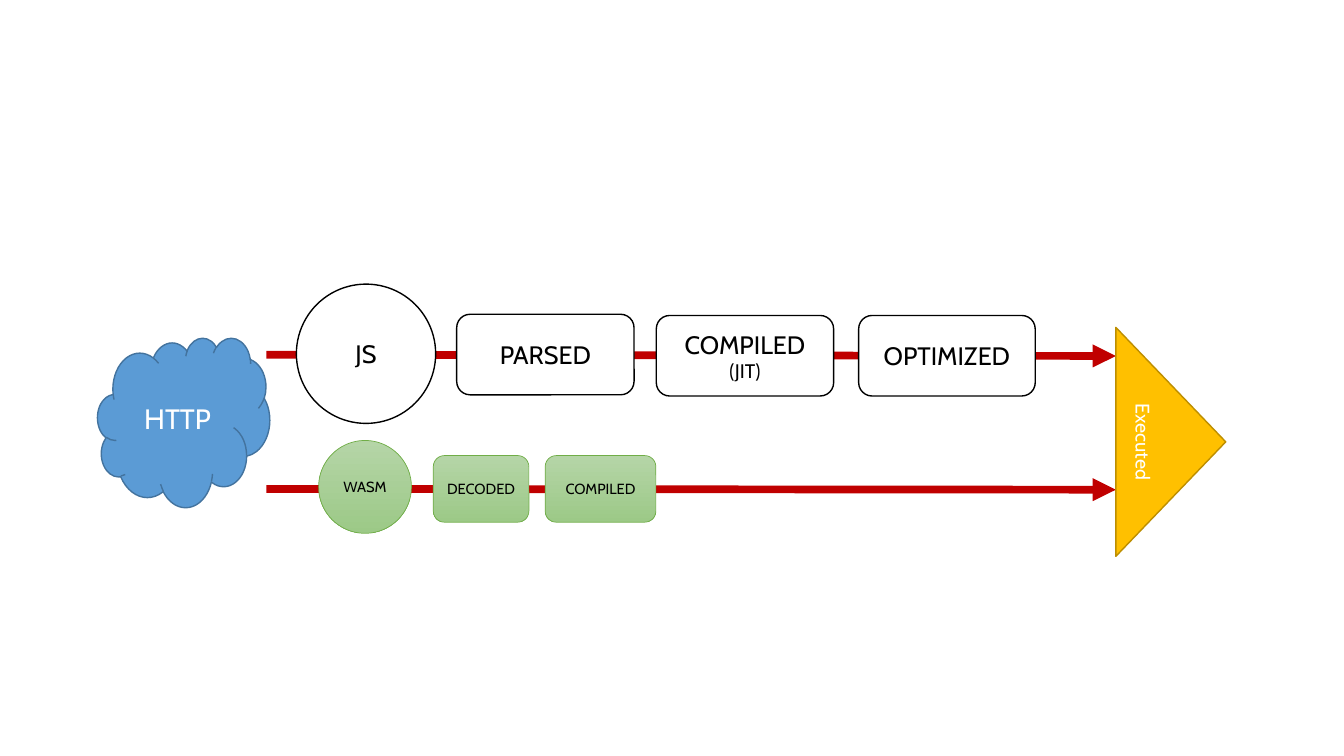
from dataclasses import dataclass

from lxml.etree import SubElement
from pptx import Presentation
from pptx.dml.color import RGBColor
from pptx.enum.shapes import MSO_CONNECTOR as Connector, MSO_SHAPE as Preset
from pptx.enum.text import MSO_ANCHOR as Anchor, PP_ALIGN as Align
from pptx.oxml.ns import qn
from pptx.slide import Slide
from pptx.util import Cm, Pt

BLACK = RGBColor(0x00, 0x00, 0x00)
WHITE = RGBColor(0xFF, 0xFF, 0xFF)
RED = RGBColor(0xC0, 0x00, 0x00)
BLUE = RGBColor(0x5B, 0x9B, 0xD5)
DARK_BLUE = RGBColor(0x43, 0x73, 0x9E)
AMBER = RGBColor(0xFF, 0xC0, 0x00)
DARK_AMBER = RGBColor(0xBD, 0x8E, 0x00)
GREEN = RGBColor(0x70, 0xAD, 0x47)
LIGHT_GREEN = RGBColor(0xB5, 0xD5, 0xA7)
MID_GREEN = RGBColor(0x9C, 0xC9, 0x87)

FONT_NAME = "Cabin"
ARROW_LEFT, ARROW_RIGHT = 6.71, 28.12


@dataclass(frozen=True)
class Style:
    fills: tuple[RGBColor, ...]  # two colours make a top-to-bottom gradient
    outline: RGBColor
    outline_points: float
    text_color: RGBColor


@dataclass(frozen=True)
class Step:
    preset: Preset
    style: Style
    left: float
    top: float
    width: float
    height: float
    lines: tuple[tuple[str, float], ...]  # text and size of each line
    rotation: float = 0


SOURCE = Style((BLUE,), DARK_BLUE, 1, WHITE)
JS_STAGE = Style((WHITE,), BLACK, 1, BLACK)
WASM_STAGE = Style((LIGHT_GREEN, MID_GREEN), GREEN, 0.5, BLACK)
RESULT = Style((AMBER,), DARK_AMBER, 1, WHITE)

ARROW_HEIGHTS = [(12.32, 12.34), (8.94, 8.97)]

BOX = Preset.ROUNDED_RECTANGLE
STEPS = [
    Step(Preset.CLOUD, SOURCE, 2.46, 8.51, 4.34, 4.27, (("HTTP", 20),)),
    Step(Preset.OVAL, JS_STAGE, 7.47, 7.16, 3.51, 3.51, (("JS", 18),)),
    Step(BOX, JS_STAGE, 11.51, 7.92, 4.47, 2.03, (("PARSED", 18),)),
    Step(BOX, JS_STAGE, 16.54, 7.95, 4.47, 2.03, (("COMPILED", 18), ("(JIT)", 14))),
    Step(BOX, JS_STAGE, 21.64, 7.95, 4.45, 2.03, (("OPTIMIZED", 18),)),
    Step(Preset.OVAL, WASM_STAGE, 8.03, 11.1, 2.34, 2.34, (("WASM", 10.5),)),
    Step(BOX, WASM_STAGE, 10.92, 11.48, 2.41, 1.68, (("DECODED", 10.5),)),
    Step(BOX, WASM_STAGE, 13.74, 11.48, 2.79, 1.68, (("COMPILED", 10.5),)),
    Step(Preset.ISOSCELES_TRIANGLE, RESULT, 26.62, 9.75, 5.77, 2.77,
         (("Executed", 14),), rotation=90),
]


def add_arrow(slide: Slide, start_top: float, end_top: float) -> None:
    arrow = slide.shapes.add_connector(
        Connector.STRAIGHT,
        Cm(ARROW_LEFT), Cm(start_top), Cm(ARROW_RIGHT), Cm(end_top),
    )
    arrow.line.color.rgb = RED
    arrow.line.width = Pt(5.5)
    SubElement(arrow.line._get_or_add_ln(), qn("a:tailEnd"), type="triangle")
    SubElement(arrow._element.spPr, qn("a:effectLst"))


def add_step(slide: Slide, step: Step) -> None:
    shape = slide.shapes.add_shape(
        step.preset, Cm(step.left), Cm(step.top), Cm(step.width), Cm(step.height)
    )
    shape.rotation = step.rotation
    shape.shadow.inherit = False
    style = step.style
    if len(style.fills) == 1:
        shape.fill.solid()
        shape.fill.fore_color.rgb = style.fills[0]
    else:
        shape.fill.gradient()
        shape.fill.gradient_angle = 270
        for stop, color in zip(shape.fill.gradient_stops, style.fills):
            stop.color.rgb = color
    shape.line.color.rgb = style.outline
    shape.line.width = Pt(style.outline_points)

    frame = shape.text_frame
    frame.word_wrap = False
    frame.vertical_anchor = Anchor.MIDDLE
    paragraph = frame.paragraphs[0]
    paragraph.alignment = Align.CENTER
    for index, (text, size) in enumerate(step.lines):
        if index:
            paragraph.add_line_break()
        run = paragraph.add_run()
        run.text = text
        for name, value in {"name": FONT_NAME, "size": Pt(size)}.items():
            setattr(run.font, name, value)
        run.font.color.rgb = style.text_color


def main() -> None:
    presentation = Presentation()
    presentation.slide_width = Cm(33.87)
    presentation.slide_height = Cm(19.05)
    slide = presentation.slides.add_slide(presentation.slide_layouts[6])
    for start_top, end_top in ARROW_HEIGHTS:
        add_arrow(slide, start_top, end_top)
    for step in STEPS:
        add_step(slide, step)
    presentation.save("out.pptx")


if __name__ == "__main__":
    main()
